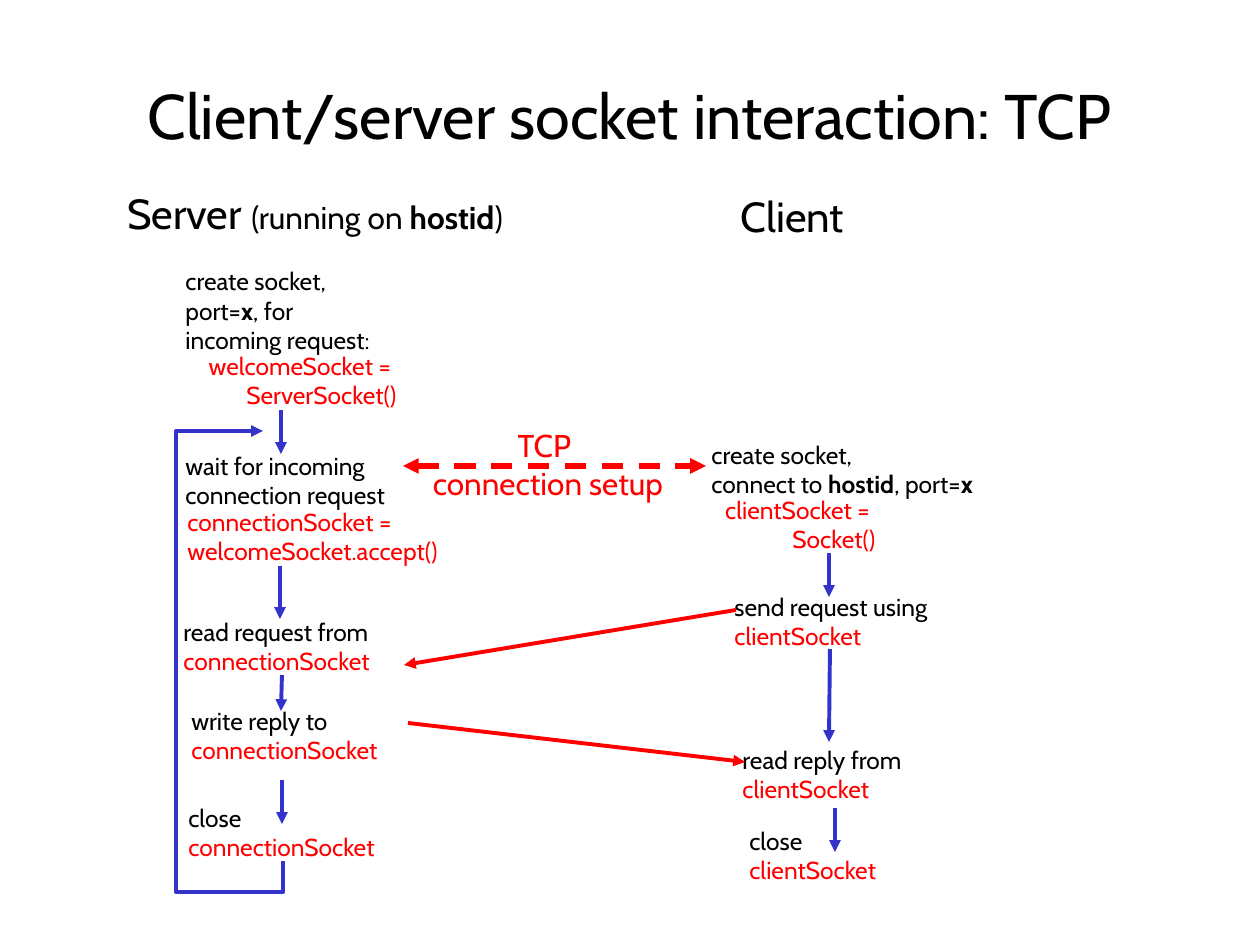
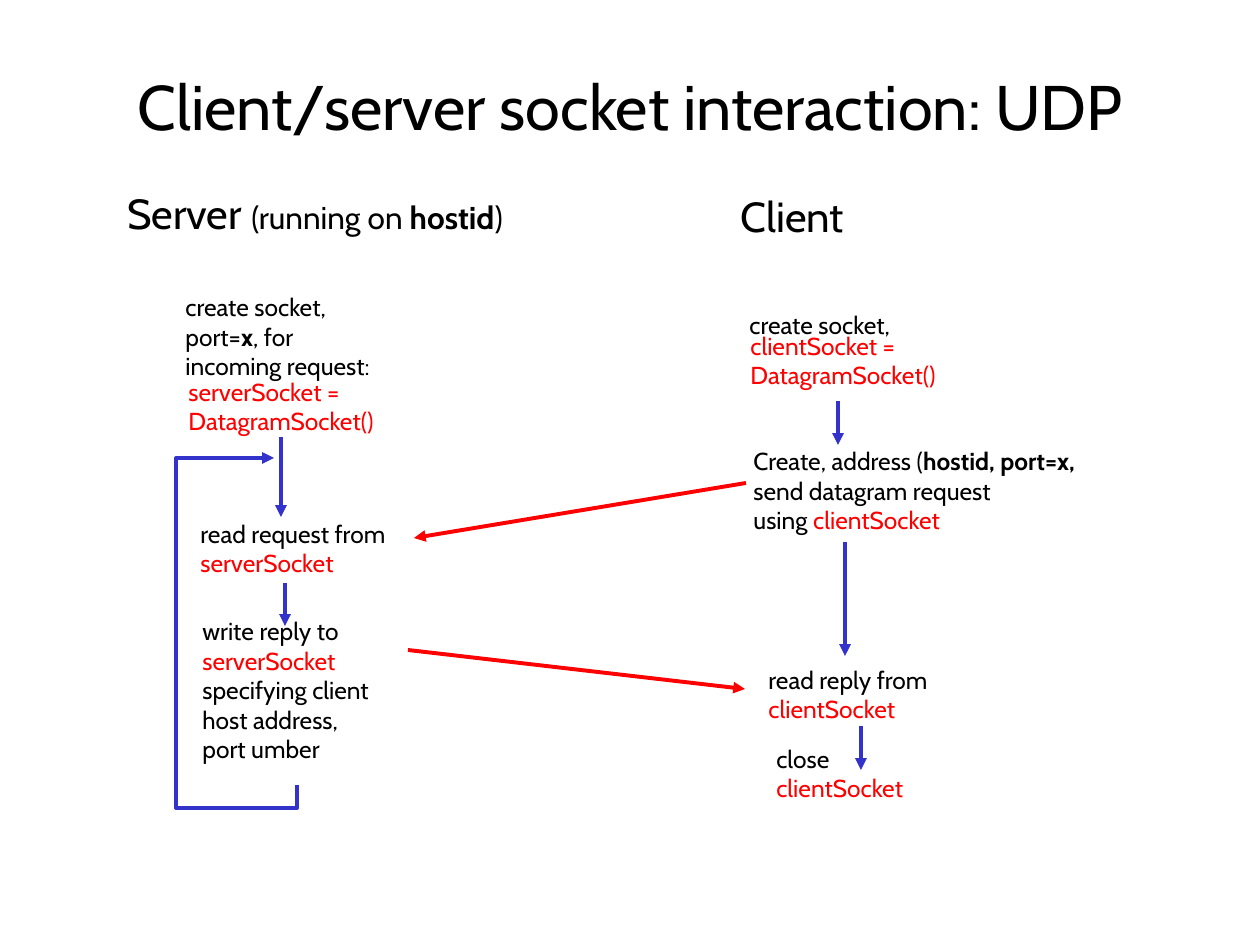
from itertools import pairwise

from lxml.etree import SubElement
from pptx import Presentation
from pptx.dml.color import RGBColor
from pptx.enum.dml import MSO_LINE
from pptx.enum.shapes import MSO_CONNECTOR
from pptx.enum.text import MSO_ANCHOR, MSO_AUTO_SIZE, PP_ALIGN
from pptx.oxml.ns import qn
from pptx.util import Emu, Pt

PX = 914400 / 126  # EMU in one px
SLIDE_W, SLIDE_H = 1260, 945
FONT = "Cabin"
COLORS = {"text": "000000", "code": "FF0000", "message": "FF0000", "flow": "3333CC"}

# Origins of the regions, which all start at the same height
SERVER = (88, 181)
MIDDLE = (403, 181)
CLIENT = (698, 181)

REQUEST_SPAN = (-332, 55)
REPLY_SPAN = (337, 39)

SERVER_CREATE = ["create socket,", ["port=", ("x", "bold"), ", for"], "incoming request:"]


def emu(length):
    return Emu(round(length * PX))


def rgb(name):
    return RGBColor.from_string(COLORS[name])


def code(*lines):
    """Lines that are program code throughout."""
    return [[(line, "code")] for line in lines]


# ---- Basic parts ----

def add_text(slide, box, lines, size=14, align=PP_ALIGN.LEFT, wrap=False):
    """A line is a string or a list of runs; a run is a string or (text, style).

    A style is "bold", "code" or a size in points.
    """
    text_box = slide.shapes.add_textbox(*map(emu, box))
    frame = text_box.text_frame
    frame.word_wrap = wrap
    frame.auto_size = MSO_AUTO_SIZE.NONE if wrap else MSO_AUTO_SIZE.SHAPE_TO_FIT_TEXT
    frame.vertical_anchor = MSO_ANCHOR.MIDDLE
    for index, line in enumerate(lines):
        paragraph = frame.add_paragraph() if index else frame.paragraphs[0]
        paragraph.alignment = align
        paragraph.font.name = FONT
        paragraph.font.size = Pt(size)
        paragraph.font.color.rgb = rgb("text")
        for part in [line] if isinstance(line, str) else line:
            words, *styles = (part,) if isinstance(part, str) else part
            run = paragraph.add_run()
            run.text = words
            for style in styles:
                if style == "bold":
                    run.font.bold = True
                elif style == "code":
                    run.font.color.rgb = rgb("code")
                else:
                    run.font.size = Pt(style)


def style_line(shape, color, width, ends):
    shape.line.color.rgb = rgb(color)
    shape.line.width = Pt(width)
    outline = shape.element.spPr.find(qn("a:ln"))
    for end in ends:
        SubElement(outline, qn(f"a:{end}"), type="triangle")


def add_arrow(slide, start, end, color, width=2.25, ends=("tailEnd",), dash=None):
    arrow = slide.shapes.add_connector(
        MSO_CONNECTOR.STRAIGHT, *map(emu, (*start, *end)))
    if dash:
        arrow.line.dash_style = dash
    style_line(arrow, color, width, ends)
    SubElement(arrow.element.spPr, qn("a:effectLst"))


def add_loop(slide, points):
    """Return path from the last server step to the first one."""
    corners = [(emu(x), emu(y)) for x, y in points]
    builder = slide.shapes.build_freeform(*corners[0])
    builder.add_line_segments(corners[1:], close=False)
    loop = builder.convert_to_shape()
    loop.fill.background()
    loop.shadow.inherit = False
    style_line(loop, "flow", 2.25, ("tailEnd",))


# ---- Regions ----

def add_title(slide, box, protocol):
    add_text(slide, box, [f"Client/server socket interaction: {protocol}"],
             36, PP_ALIGN.CENTER, wrap=True)


def add_lane(slide, origin, steps, arrows):
    """Steps are (x, y, width, lines[, align]); arrows are (x1, y1, x2, y2)."""
    left, top = origin
    for x1, y1, x2, y2 in arrows:
        add_arrow(slide, (left + x1, top + y1), (left + x2, top + y2), "flow")
    for x, y, width, lines, *align in steps:
        height = round(13 + 29.4 * len(lines))
        add_text(slide, (left + x, top + y, width, height), lines, 14, *align)


def add_server(slide, origin, steps, arrows, loop):
    left, top = origin
    heading = [["Server ", ("(running on ", 18), ("hostid", 18, "bold"), (")", 18)]]
    add_text(slide, (left, top, 454, 63), heading, 24, PP_ALIGN.CENTER)
    add_lane(slide, origin, steps, arrows)
    start_x, start_y, bottom, back_x, back_y, tip_x = loop
    path_points = [(start_x, start_y), (start_x, bottom), (back_x, bottom),
                   (back_x, back_y), (tip_x, back_y)]
    add_loop(slide, [(left + x, top + y) for x, y in path_points])


def add_client(slide, origin, steps, arrows):
    left, top = origin
    add_text(slide, (left + 26, top + 3, 137, 63), ["Client"], 24, PP_ALIGN.CENTER)
    add_lane(slide, origin, steps, arrows)


def add_messages(slide, origin, request, reply):
    left, top = origin
    for (x, y), (dx, dy) in ((request, REQUEST_SPAN), (reply, REPLY_SPAN)):
        start = (left + x, top + y)
        add_arrow(slide, start, (start[0] + dx, start[1] + dy), "message")


def add_connection_setup(slide, origin):
    left, top = origin
    add_arrow(slide, (left, top + 285), (left + 303, top + 285), "message", 3,
              ("headEnd", "tailEnd"), MSO_LINE.DASH)
    add_text(slide, (left + 5, top + 239, 280, 88),
             code("TCP ", "connection setup"), 18, PP_ALIGN.CENTER)


# ---- Slides ----

def build_tcp(slide):
    add_title(slide, (94, 35, 1071, 158), "TCP")
    add_server(
        slide, SERVER,
        steps=[
            (85, 79, 234, SERVER_CREATE),
            (90, 163, 231, code("welcomeSocket = ", "ServerSocket()"), PP_ALIGN.RIGHT),
            (85, 263, 248, ["wait for incoming", "connection request"]),
            (87, 319, 300, code("connectionSocket =", "welcomeSocket.accept()")),
            (83, 429, 236, ["read request from", *code("connectionSocket")]),
            (91, 518, 229, ["write reply to", *code("connectionSocket")]),
            (88, 615, 229, ["close", *code("connectionSocket")]),
        ],
        arrows=[(193, 229, 193, 273), (192, 385, 192, 438),
                (194, 494, 193, 530), (194, 599, 194, 643)],
        loop=(195, 680, 711, 88, 250, 175))
    add_client(
        slide, CLIENT,
        steps=[
            (1, 252, 320, ["create socket,", ["connect to ", ("hostid", "bold"),
                                              ", port=", ("x", "bold")]]),
            (0, 307, 190, code("clientSocket = ", "Socket()"), PP_ALIGN.RIGHT),
            (24, 404, 246, ["send request using", *code("clientSocket")]),
            (32, 557, 205, ["read reply from", *code("clientSocket")]),
            (39, 638, 164, ["close", *code("clientSocket")]),
        ],
        arrows=[(131, 372, 131, 416), (132, 468, 131, 561), (137, 627, 137, 671)])
    add_messages(slide, MIDDLE, request=(333, 429), reply=(5, 542))
    add_connection_setup(slide, MIDDLE)


def build_udp(slide):
    add_title(slide, (54, 26, 1152, 158), "UDP")
    add_server(
        slide, SERVER,
        steps=[
            (85, 105, 234, SERVER_CREATE),
            (88, 189, 232, code("serverSocket =", "DatagramSocket()")),
            (100, 331, 236, ["read request from", *code("serverSocket")]),
            (102, 429, 210, ["write reply to", *code("serverSocket"),
                             "specifying client", "host address,", "port umber"]),
        ],
        arrows=[(193, 256, 193, 336), (197, 402, 197, 445)],
        loop=(209, 604, 627, 88, 277, 186))
    add_client(
        slide, CLIENT,
        steps=[
            (39, 123, 184, ["create socket,"]),
            (40, 143, 232, code("clientSocket =", "DatagramSocket()")),
            (43, 259, 398, [["Create, address (", ("hostid, port=x,", "bold")],
                            "send datagram request",
                            ["using ", ("clientSocket", "code")]]),
            (58, 477, 205, ["read reply from", *code("clientSocket")]),
            (66, 556, 164, ["close", *code("clientSocket")]),
        ],
        arrows=[(140, 220, 140, 264), (147, 361, 147, 475), (163, 545, 163, 589)])
    add_messages(slide, MIDDLE, request=(343, 302), reply=(5, 469))


def main():
    deck = Presentation()
    deck.slide_width, deck.slide_height = emu(SLIDE_W), emu(SLIDE_H)
    blank = deck.slide_layouts[6]
    for build in (build_tcp, build_udp):
        build(deck.slides.add_slide(blank))
    deck.save("out.pptx")


if __name__ == "__main__":
    main()
